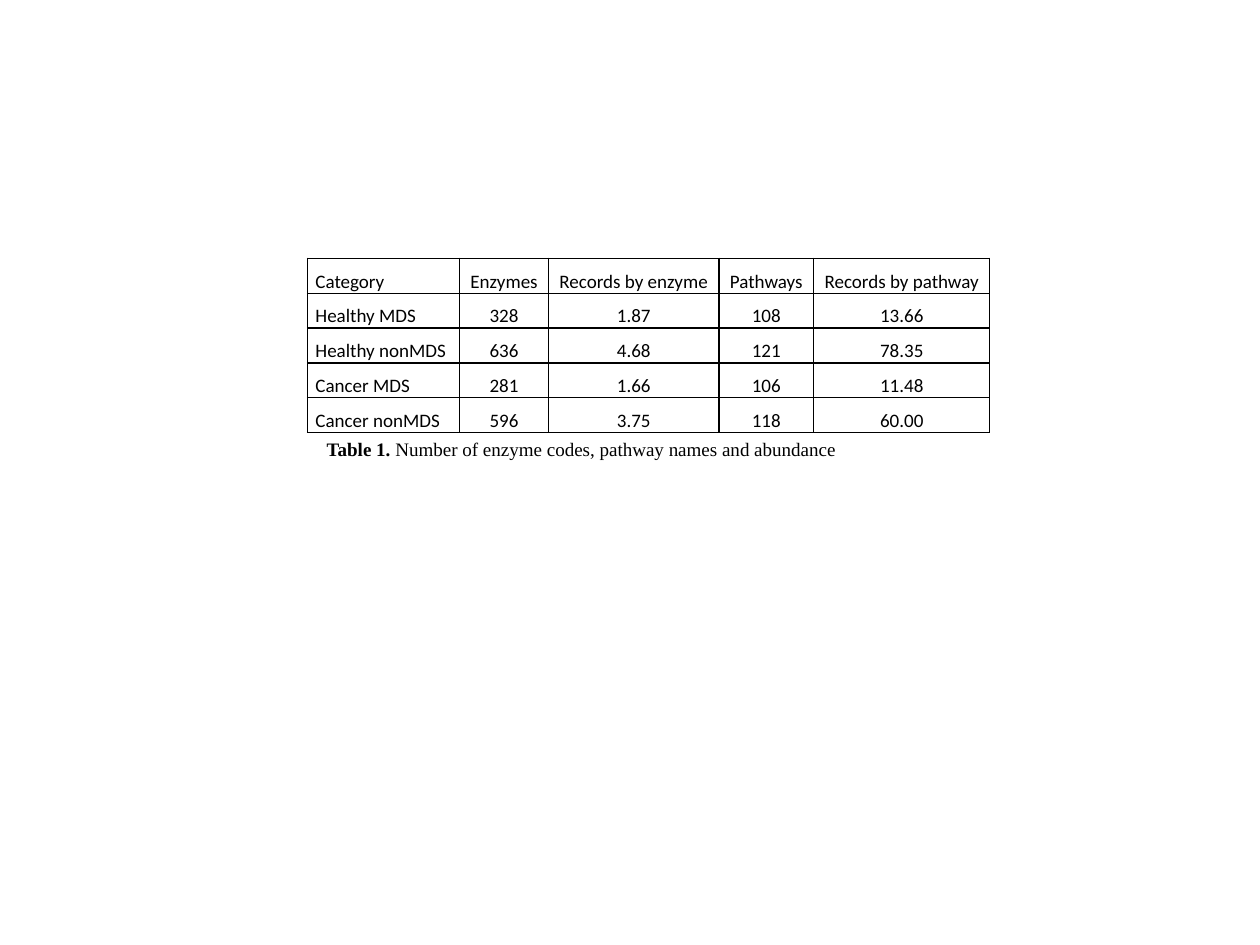
from pptx import Presentation
from pptx.dml.color import RGBColor
from pptx.enum.text import PP_ALIGN
from pptx.oxml import parse_xml
from pptx.oxml.ns import nsdecls
from pptx.util import Inches, Pt

# Content
TABLE_ROWS = [
    ("Category", "Enzymes", "Records by enzyme", "Pathways", "Records by pathway"),
    ("Healthy MDS", "328", "1.87", "108", "13.66"),
    ("Healthy nonMDS", "636", "4.68", "121", "78.35"),
    ("Cancer MDS", "281", "1.66", "106", "11.48"),
    ("Cancer nonMDS", "596", "3.75", "118", "60.00"),
]
CAPTION = [("Table 1. ", True), ("Number of enzyme codes, pathway names and abundance", False)]

# Layout and style: the page is 28 by 21 cm
CM_PER_INCH = 2.54
PAGE_SIZE = {"slide_width": Inches(28 / CM_PER_INCH),
             "slide_height": Inches(21 / CM_PER_INCH)}
COLORS = {"ink": "000000"}
COLUMN_WIDTHS = [1.33, 0.78, 1.49, 0.83, 1.54]
ROW_HEIGHT = 0.27
CELL_MARGINS = {"margin_left": Inches(0.07), "margin_right": Inches(0.07),
                "margin_top": 0, "margin_bottom": 0}
TABLE_FONT = {"name": "Calibri", "size": Pt(12), "bold": False}
CAPTION_FONT = {"name": "Times New Roman", "size": Pt(12)}


def set_attributes(target, values):
    for name, value in values.items():
        setattr(target, name, value)


def add_run(paragraph, text, font_values):
    run = paragraph.add_run()
    run.text = text
    set_attributes(run.font, font_values)
    run.font.color.rgb = RGBColor.from_string(COLORS["ink"])


def add_borders(cell):
    properties = cell._tc.get_or_add_tcPr()
    for position, side in enumerate(("lnL", "lnR", "lnT", "lnB")):
        properties.insert(position, parse_xml(
            f'<a:{side} {nsdecls("a")} w="{Pt(1)}"><a:solidFill>'
            f'<a:srgbClr val="{COLORS["ink"]}"/></a:solidFill></a:{side}>'))


def add_data_table(slide):
    shape = slide.shapes.add_table(
        len(TABLE_ROWS), len(COLUMN_WIDTHS), Inches(2.69), Inches(2.26),
        Inches(sum(COLUMN_WIDTHS)), Inches(ROW_HEIGHT * len(TABLE_ROWS)))
    table = shape.table
    set_attributes(table, {"first_row": False, "horz_banding": False})
    for column, width in zip(table.columns, COLUMN_WIDTHS):
        column.width = Inches(width)
    for row, texts in zip(table.rows, TABLE_ROWS):
        row.height = Inches(ROW_HEIGHT)
        for index, (cell, text) in enumerate(zip(row.cells, texts)):
            set_attributes(cell, CELL_MARGINS)
            cell.fill.background()
            add_borders(cell)
            paragraph = cell.text_frame.paragraphs[0]
            paragraph.alignment = PP_ALIGN.CENTER if index else PP_ALIGN.JUSTIFY
            paragraph.line_spacing = 1.5
            add_run(paragraph, text, TABLE_FONT)


def add_caption(slide):
    box = slide.shapes.add_textbox(Inches(2.76), Inches(3.78), Inches(5.51), Inches(0.3))
    box.text_frame.word_wrap = True
    for text, bold in CAPTION:
        add_run(box.text_frame.paragraphs[0], text, {**CAPTION_FONT, "bold": bold})


def main():
    presentation = Presentation()
    set_attributes(presentation, PAGE_SIZE)
    slide = presentation.slides.add_slide(presentation.slide_layouts[6])
    add_data_table(slide)
    add_caption(slide)
    presentation.save("out.pptx")


if __name__ == "__main__":
    main()
